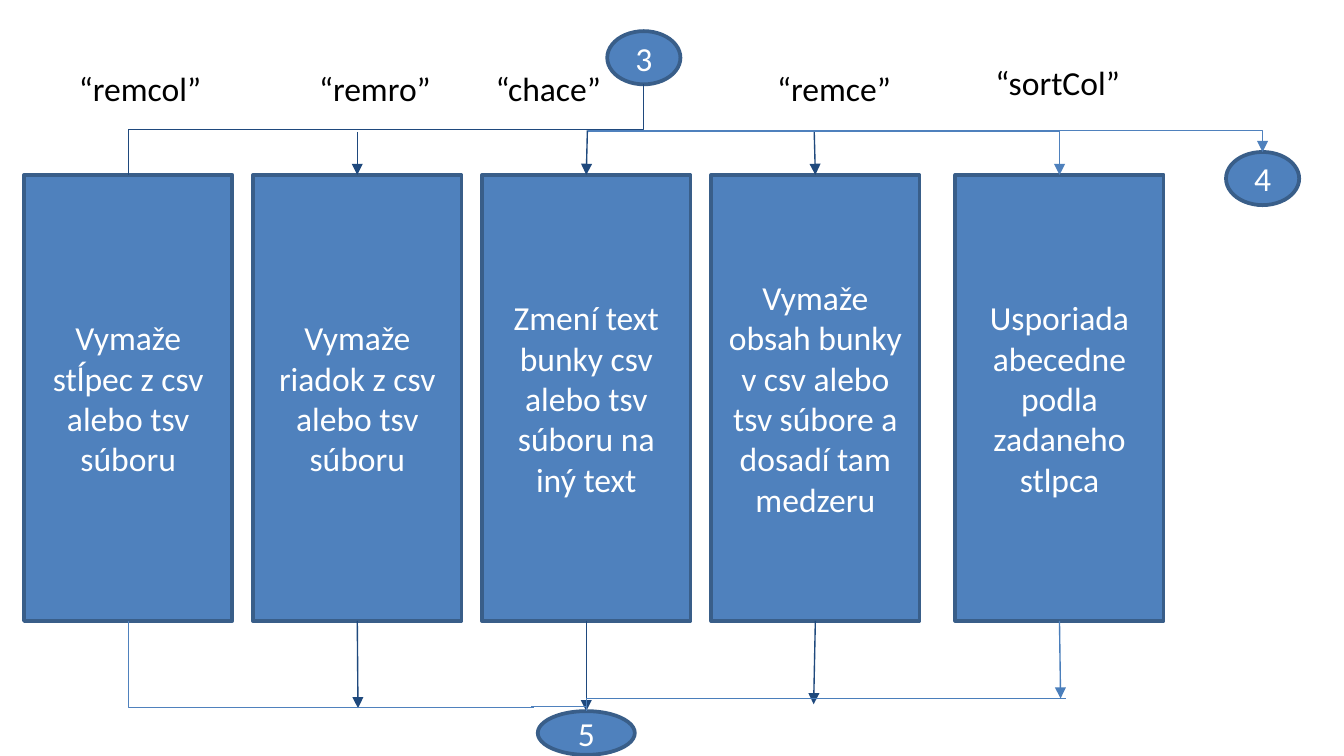
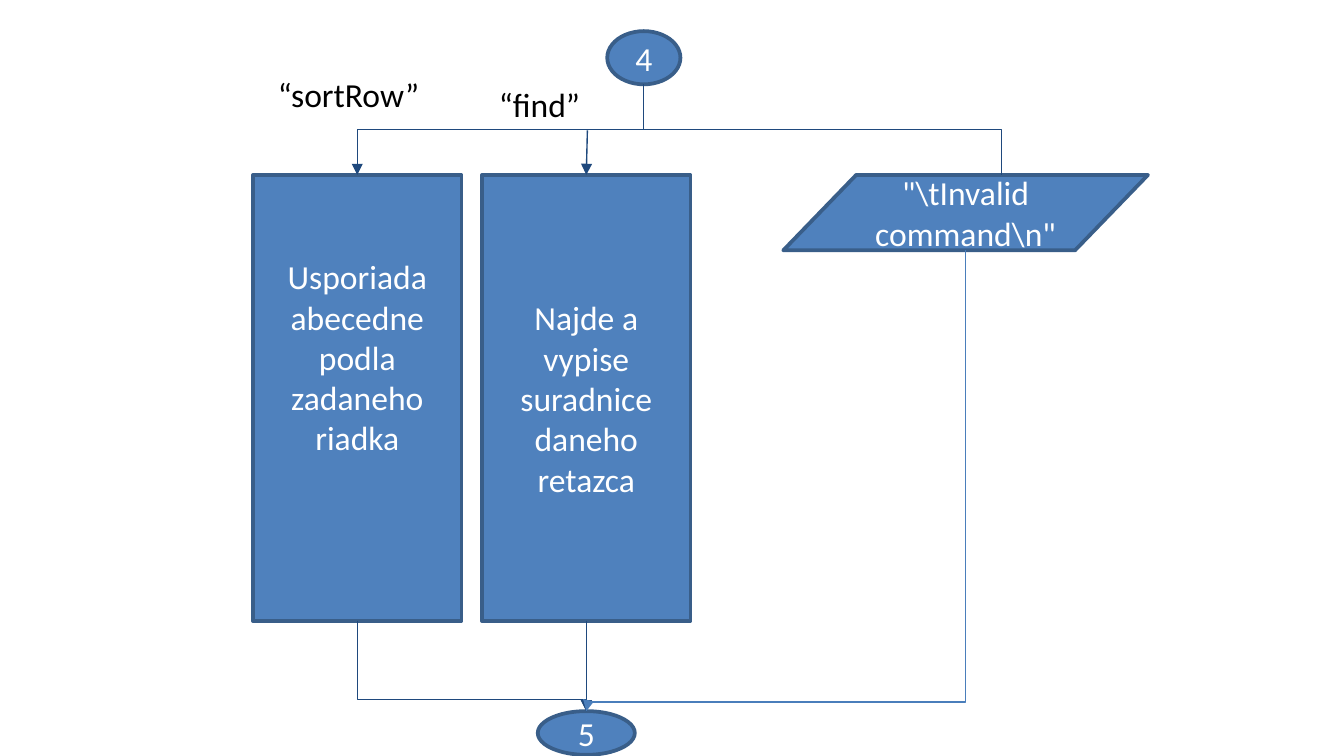
"""Builds two flowchart pages that show the commands of a table editor."""
from dataclasses import dataclass

from lxml import etree
from pptx import Presentation
from pptx import util as u
from pptx.dml import color
from pptx.enum import shapes, text
from pptx.oxml import ns


@dataclass(frozen=True)
class Theme:
    font: str = "Calibri"
    size: float = 18
    fill: str = "4F81BD"
    border: str = "395E89"
    border_width: float = 2
    link_width: float = 0.75
    navy: str = "1F497D"
    steel: str = "4A7EBB"
    light: str = "FFFFFF"
    dark: str = "000000"


THEME = Theme()
PAGE_SIZE = (720, 405)

COLUMN_SIZE = (111.6, 239)
COLUMN_TOP = 93.7
COLUMN_BOTTOM = COLUMN_TOP + COLUMN_SIZE[1]
LEFTS = [12.9 + 122.7 * i for i in range(4)] + [511.8]
AXES = [left + COLUMN_SIZE[0] / 2 for left in LEFTS]
BUS = 69.8
ENTRY = (344.9, 45.2)
EXIT = (AXES[2], 381)
ENTRY_BOX = (325.3, 16.7, 39.2, 28.5)
EXIT_BOX = (288.1, 381, 52, 23.4)
NEXT_BOX = (656.8, 81.4, 39.2, 28.5)

OVAL = shapes.MSO_SHAPE.OVAL
DATA = shapes.MSO_SHAPE.FLOWCHART_DATA
RECTANGLE = shapes.MSO_SHAPE.RECTANGLE
TWO_LINES = 44

PAGES = [
    {
        "columns": [
            (0, "Vymaže stĺpec z csv alebo tsv súboru", 0),
            (1, "Vymaže riadok z csv alebo tsv súboru", 0),
            (2, "Zmení text bunky csv alebo tsv súboru na iný text", 0),
            (3, "Vymaže obsah bunky v csv alebo tsv súbore a dosadí tam medzeru", 0),
            (4, "Usporiada abecedne podla zadaneho stlpca", 0),
        ],
        "nodes": [
            (OVAL, ENTRY_BOX, "3"),
            (OVAL, EXIT_BOX, "5"),
            (OVAL, NEXT_BOX, "4"),
        ],
        "labels": [
            ("“remcol”", 35.2, 33, 82),
            ("“remro”", 163.8, 33, 82),
            ("“chace”", 258.4, 33, 76),
            ("“remce”", 409.2, 33, 82),
            ("“sortCol”", 526.2, 29.8, 82),
        ],
        "straight": [
            ((AXES[1], 70.6), (AXES[1], COLUMN_TOP), THEME.navy),
            ((AXES[2] + 0.6, BUS), (AXES[2], COLUMN_TOP), THEME.navy),
            ((AXES[3] - 0.6, 70.6), (AXES[3], COLUMN_TOP), THEME.navy),
            ((AXES[1], COLUMN_BOTTOM), (AXES[1] + 0.4, 379.4), THEME.navy),
            ((AXES[2], COLUMN_BOTTOM), EXIT, THEME.navy),
            ((AXES[3], COLUMN_BOTTOM), (AXES[3] - 0.9, 377.3), THEME.navy),
            ((AXES[4], COLUMN_BOTTOM), (AXES[4] + 0.6, 374.2), THEME.steel),
        ],
        "bent": [
            ("step", ENTRY, (AXES[0], COLUMN_TOP), THEME.navy, False, 0.5),
            ("across", (571, 374.2), EXIT, THEME.steel, False, None),
            ("down", (AXES[0], COLUMN_BOTTOM), (285.8, 379.1), THEME.fill, False, None),
            ("across", (284.6, 378.4), EXIT, THEME.fill, False, None),
            ("across", (315, 70.2), (AXES[4], COLUMN_TOP), THEME.fill, True, None),
            ("across", (AXES[4], BUS), (676.4, 81.4), THEME.fill, True, None),
        ],
    },
    {
        "columns": [
            (1, "Usporiada abecedne podla zadaneho riadka", TWO_LINES),
            (2, "Najde a vypise suradnice daneho retazca", 0),
        ],
        "nodes": [
            (OVAL, ENTRY_BOX, "4"),
            (OVAL, EXIT_BOX, "5"),
            (DATA, (419.6, COLUMN_TOP, 195.4, 40.4), '"\\tInvalid command\\n"'),
        ],
        "labels": [
            ("“sortRow”", 141.8, 36.2, 100),
            ("“find”", 260.2, 41.6, 100),
        ],
        "straight": [
            ((AXES[2] + 0.6, BUS), (AXES[2], COLUMN_TOP), THEME.navy),
            ((AXES[2], COLUMN_BOTTOM), EXIT, THEME.navy),
        ],
        "bent": [
            ("step", ENTRY, (536.7, COLUMN_TOP), THEME.navy, False, 0.5),
            ("step", ENTRY, (AXES[1], COLUMN_TOP), THEME.navy, True, 0.5),
            ("step", (AXES[1], COLUMN_BOTTOM), EXIT, THEME.navy, True, 0.87),
            ("step", (517.2, 134.1), EXIT, THEME.steel, True, 0.98),
        ],
    },
]


def rgb(value):
    return color.RGBColor.from_string(value)


def assign(target, values):
    for name, value in values.items():
        setattr(target, name, value)


def write(box, content, ink, align, anchor, extra_bottom=0):
    frame = box.text_frame
    assign(frame, {
        "word_wrap": True,
        "vertical_anchor": anchor,
        "margin_left": u.Pt(7.2),
        "margin_right": u.Pt(7.2),
        "margin_top": u.Pt(3.6),
        "margin_bottom": u.Pt(3.6 + extra_bottom),
    })
    para = frame.paragraphs[0]
    para.alignment = align
    span = para.add_run()
    span.text = content
    assign(span.font, {"name": THEME.font, "size": u.Pt(THEME.size)})
    span.font.color.rgb = rgb(ink)


def add_node(page, preset, bounds, content, extra_bottom=0):
    box = page.shapes.add_shape(preset, *map(u.Pt, bounds))
    box.shadow.inherit = False
    box.fill.solid()
    box.fill.fore_color.rgb = rgb(THEME.fill)
    box.line.color.rgb = rgb(THEME.border)
    box.line.width = u.Pt(THEME.border_width)
    write(box, content, THEME.light, text.PP_ALIGN.CENTER,
          text.MSO_ANCHOR.MIDDLE, extra_bottom)


def add_label(page, content, left, top, width):
    box = page.shapes.add_textbox(*map(u.Pt, (left, top, width, 20.2)))
    write(box, content, THEME.dark, text.PP_ALIGN.LEFT, text.MSO_ANCHOR.TOP)


def add_link(page, kind, start, end, ink, arrow):
    link = page.shapes.add_connector(kind, *map(u.Pt, (*start, *end)))
    link.line.color.rgb = rgb(ink)
    link.line.width = u.Pt(THEME.link_width)
    properties = link._element.spPr
    if arrow:
        etree.SubElement(properties.find(ns.qn("a:ln")), ns.qn("a:tailEnd"), type="triangle")
    etree.SubElement(properties, ns.qn("a:effectLst"))
    return properties


def add_bent(page, route, start, end, ink, arrow, turn):
    (x1, y1), (x2, y2) = start, end
    width, height = abs(x2 - x1), y2 - y1
    leftward = x2 < x1
    if route == "across":
        rotation, flip = 0, leftward
    else:
        width, height = height, width
        rotation, flip = (90, False) if leftward else (270, True)
    left, top = (x1 + x2 - width) / 2, (y1 + y2 - height) / 2
    properties = add_link(page, shapes.MSO_CONNECTOR.ELBOW, (left, top),
                          (left + width, top + height), ink, arrow)
    frame = properties.find(ns.qn("a:xfrm"))
    if rotation:
        frame.set("rot", str(rotation * 60000))
    if flip:
        frame.set("flipH", "1")
    geometry = properties.find(ns.qn("a:prstGeom"))
    if turn is None:
        geometry.set("prst", "bentConnector2")
    else:
        guides = geometry.find(ns.qn("a:avLst"))
        etree.SubElement(guides, ns.qn("a:gd"), name="adj1", fmla=f"val {round(turn * 100000)}")


def build_page(deck, content):
    page = deck.slides.add_slide(deck.slide_layouts[6])
    for index, caption, extra_bottom in content["columns"]:
        bounds = (LEFTS[index], COLUMN_TOP, *COLUMN_SIZE)
        add_node(page, RECTANGLE, bounds, caption, extra_bottom)
    for node in content["nodes"]:
        add_node(page, *node)
    for label in content["labels"]:
        add_label(page, *label)
    for start, end, ink in content["straight"]:
        add_link(page, shapes.MSO_CONNECTOR.STRAIGHT, start, end, ink, True)
    for bend in content["bent"]:
        add_bent(page, *bend)


def main():
    deck = Presentation()
    deck.slide_width, deck.slide_height = map(u.Pt, PAGE_SIZE)
    for content in PAGES:
        build_page(deck, content)
    deck.save("out.pptx")


if __name__ == "__main__":
    main()
